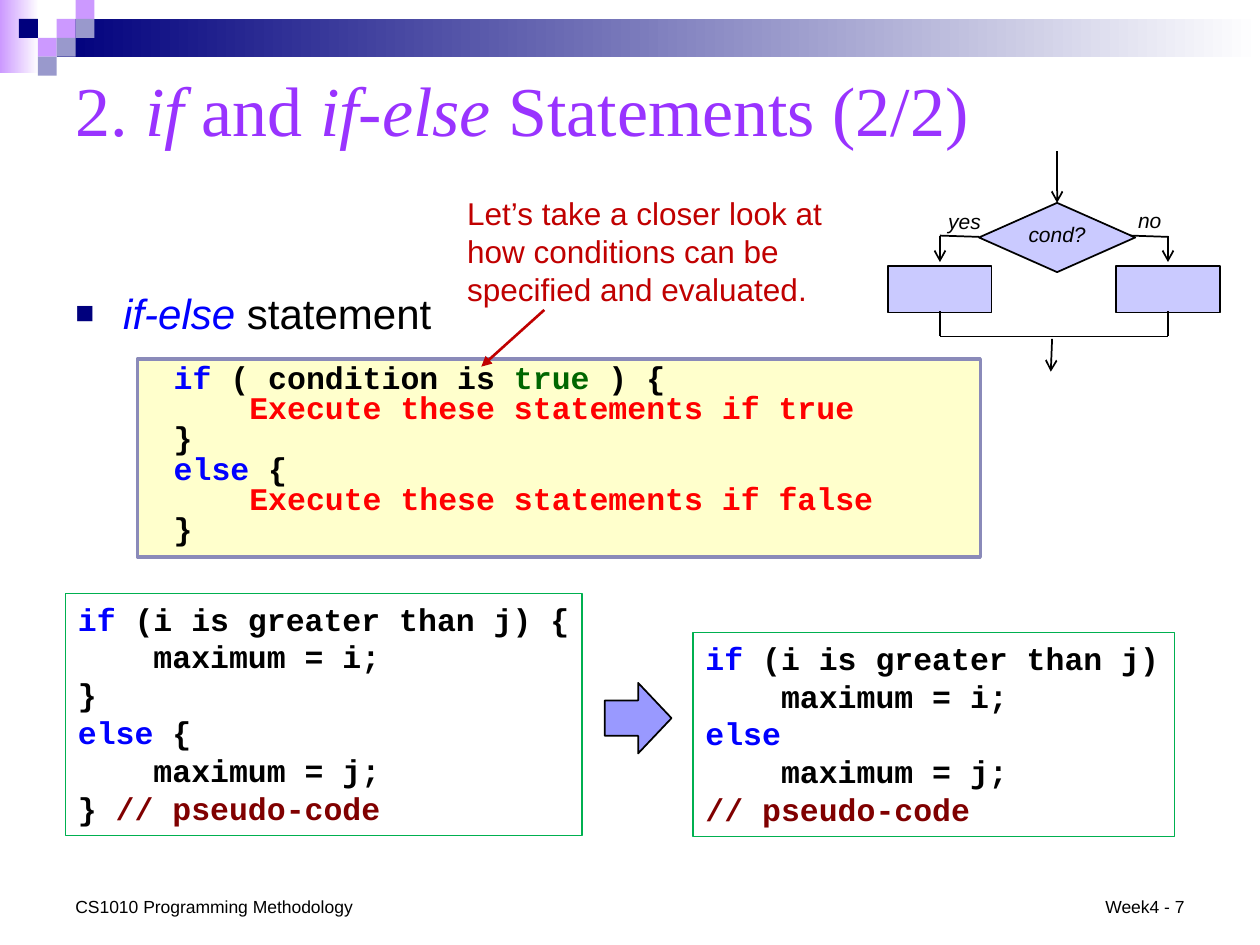
from lxml import etree
from pptx import Presentation
from pptx.dml.color import RGBColor
from pptx.enum.shapes import MSO_CONNECTOR, MSO_SHAPE as SHAPE
from pptx.enum.text import MSO_ANCHOR as ANCHOR, PP_ALIGN as ALIGN
from pptx.oxml.ns import qn
from pptx.util import Inches, Pt

COLORS = {
    "navy": "00007D", "lilac": "CC99FF", "slate": "9999CC", "white": "FFFFFF",
    "black": "000000", "title": "9933FF", "keyword": "0000FF", "action": "FF0000",
    "true": "006600", "comment": "800000", "callout": "C00000", "cream": "FFFFCC",
    "frame": "8A8AB9", "node": "CACAFF", "arrow": "9999FF", "green": "00B050",
}
RGB = {name: RGBColor.from_string(value) for name, value in COLORS.items()}

deck = Presentation()
deck.slide_width, deck.slide_height = Inches(10), Inches(7.5)
slide = deck.slides.add_slide(deck.slide_layouts[6])
shapes = slide.shapes


def add_block(kind, box, fill=None, line=None, weight=1):
    block = shapes.add_shape(kind, *map(Inches, box))
    block.shadow.inherit = False
    if fill:
        block.fill.solid()
        block.fill.fore_color.rgb = RGB[fill]
    else:
        block.fill.background()
    if line:
        block.line.color.rgb = RGB[line]
        block.line.width = Pt(weight)
    else:
        block.line.fill.background()
    return block


def write(holder, lines, size, font="Arial", align=ALIGN.LEFT, spacing=None,
          bold=False, wrap=True, anchor=ANCHOR.TOP):
    """Each line is a list of (text, colour) or (text, colour, italic) runs."""
    frame = holder.text_frame
    frame.word_wrap, frame.vertical_anchor = wrap, anchor
    for number, line in enumerate(lines):
        paragraph = frame.add_paragraph() if number else frame.paragraphs[0]
        paragraph.alignment = align
        if spacing:
            paragraph.line_spacing = spacing
        for text, color, *italic in line:
            run = paragraph.add_run()
            run.text = text
            formats = {"name": font, "size": Pt(size), "bold": bold, "italic": bool(italic)}
            for attribute, value in formats.items():
                setattr(run.font, attribute, value)
            run.font.color.rgb = RGB[color]
    return frame.paragraphs


# Header bands and checker squares
for box, start in [((0, 0, 0.31, 0.58), "lilac"), ((0.45, 0.15, 9.55, 0.3), "navy")]:
    band = add_block(SHAPE.RECTANGLE, box)
    band.fill.gradient()
    band.fill.gradient_angle = 0
    for stop, color, position in zip(band.fill.gradient_stops, (start, "white"), (0, 1)):
        stop.color.rgb = RGB[color]
        stop.position = position
for column, row, color in [(3, 1, "lilac"), (4, 0, "lilac"), (4, 1, "slate"), (2, 2, "lilac"),
                           (1, 1, "navy"), (3, 2, "slate"), (2, 3, "slate")]:
    add_block(SHAPE.RECTANGLE, (column * 0.15, row * 0.15, 0.15, 0.15), color)

# Title
title = shapes.add_textbox(*map(Inches, (0.5, 0.42, 9, 0.88)))
write(title, [[("2. ", "title"), ("if", "title", True), (" and ", "title"),
               ("if-else", "title", True), (" Statements (2/2)", "title")]],
      40, "Times New Roman", anchor=ANCHOR.MIDDLE)

# Bullet
bullet = shapes.add_textbox(*map(Inches, (0.5, 2.23, 9, 0.62)))
heading = write(bullet, [[("if-else ", "keyword", True), ("statement", "black")]], 24)[0]
bullet_format = heading._p.get_or_add_pPr()
bullet_format.set("marL", str(Inches(0.38)))
bullet_format.set("indent", str(-Inches(0.38)))
bullet_color = etree.SubElement(bullet_format, qn("a:buClr"))
etree.SubElement(bullet_color, qn("a:srgbClr"), val=COLORS["navy"])
etree.SubElement(bullet_format, qn("a:buSzPct"), val="75000")
etree.SubElement(bullet_format, qn("a:buFont"), typeface="Arial")
etree.SubElement(bullet_format, qn("a:buChar"), char="■")

# Syntax box
syntax = add_block(SHAPE.RECTANGLE, (1.09, 2.85, 6.69, 1.57), "cream", "frame", 2)
syntax_lines = write(syntax, [
    [("if", "keyword"), (" ( condition is ", "black"), ("true ", "true"), (") {", "black")],
    [("    Execute these statements if true", "action")],
    [("}", "black")],
    [("else", "keyword"), (" {", "black")],
    [("    Execute these statements if false", "action")],
    [("}", "black")],
], 18, "Courier New", spacing=0.8, bold=True)
for line in syntax_lines:
    line._p.get_or_add_pPr().set("marL", str(Inches(0.19)))

# Callout
callout = shapes.add_textbox(*map(Inches, (3.61, 1.49, 3.1, 1)))
write(callout, [[("Let’s take a closer look at how conditions can be specified and evaluated.",
                  "callout")]], 18)

# Flowchart nodes and labels
add_block(SHAPE.FLOWCHART_DECISION, (7.77, 1.61, 1.24, 0.55), "node", "black")
for left in (7.05, 8.86):
    add_block(SHAPE.FLOWCHART_PROCESS, (left, 2.11, 0.82, 0.37), "node", "black")
for text, box in [("cond?", (8, 1.71, 0.78, 0.3)), ("yes", (7.35, 1.61, 0.61, 0.3)),
                  ("no", (8.85, 1.6, 0.55, 0.3))]:
    label = shapes.add_textbox(*map(Inches, box))
    write(label, [[(text, "black", True)]], 12, align=ALIGN.CENTER)

# Callout pointer and flowchart lines
for ends, color, weight, head in [
    ((4.32, 2.46, 3.82, 2.91), "callout", 1.5, "triangle"),
    ((8.39, 1.2, 8.39, 1.61), "black", 1, "arrow"),
    ((7.77, 1.88, 7.46, 1.87), "black", 1, None),
    ((7.46, 1.87, 7.46, 2.08), "black", 1, "arrow"),
    ((9.27, 1.88, 8.97, 1.87), "black", 1, None),
    ((9.27, 1.87, 9.27, 2.08), "black", 1, "arrow"),
    ((7.46, 2.47, 7.46, 2.67), "black", 1, None),
    ((9.27, 2.47, 9.27, 2.67), "black", 1, None),
    ((7.46, 2.67, 9.27, 2.67), "black", 1, None),
    ((8.35, 2.69, 8.34, 2.95), "black", 1, "arrow"),
]:
    flow = shapes.add_connector(MSO_CONNECTOR.STRAIGHT, *map(Inches, ends))
    flow.line.color.rgb = RGB[color]
    flow.line.width = Pt(weight)
    if head:
        etree.SubElement(flow.line._get_or_add_ln(), qn("a:tailEnd"), type=head)
    etree.SubElement(flow._element.spPr, qn("a:effectLst"))

# Pseudo-code with and without braces
braced = [
    [("if", "keyword"), (" (i is greater than j) {", "black")],
    [("    maximum = i;", "black")],
    [("}", "black")],
    [("else", "keyword"), (" {", "black")],
    [("    maximum = j;", "black")],
    [("} ", "black"), ("// pseudo-code", "comment")],
]
unbraced = [
    [("if", "keyword"), (" (i is greater than j)", "black")],
    [("    maximum = i;", "black")],
    [("else", "keyword")],
    [("    maximum = j;", "black")],
    [("// pseudo-code", "comment")],
]
for code, box in [(braced, (0.52, 4.71, 4.1, 1.92)), (unbraced, (5.5, 5.02, 3.82, 1.62))]:
    listing = add_block(SHAPE.RECTANGLE, box, line="green", weight=0.75)
    write(listing, code, 18, "Courier New", bold=True, wrap=False)
add_block(SHAPE.RIGHT_ARROW, (4.8, 5.42, 0.53, 0.56), "arrow", "black")

# Footer
for text, left, width, align in [("CS1010 Programming Methodology", 0.5, 2.42, ALIGN.LEFT),
                                 ("Week4 - 7", 8.66, 0.84, ALIGN.RIGHT)]:
    footer = shapes.add_textbox(*map(Inches, (left, 7.06, width, 0.27)))
    write(footer, [[(text, "black")]], 10, align=align, wrap=False, anchor=ANCHOR.BOTTOM)

deck.save("out.pptx")
